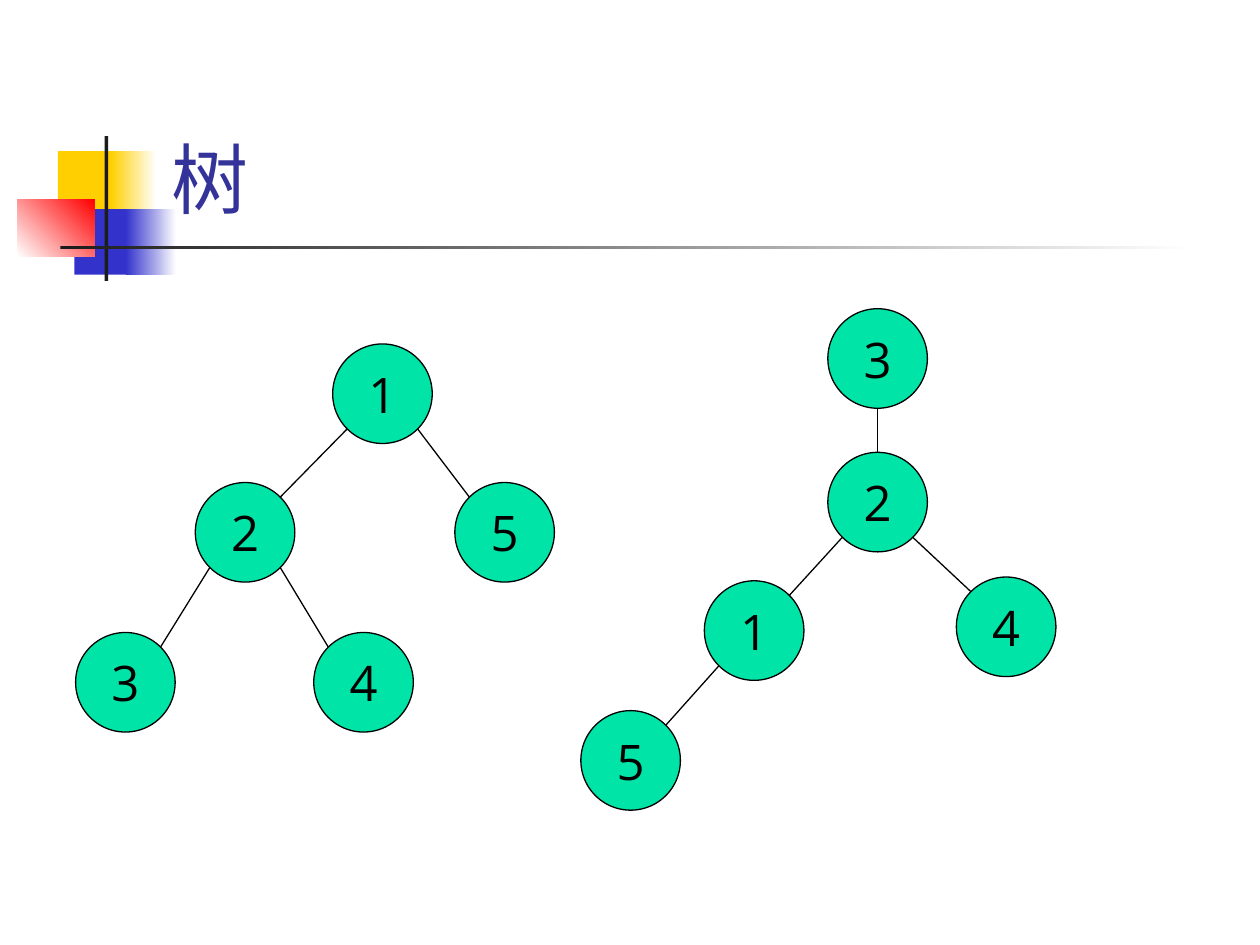
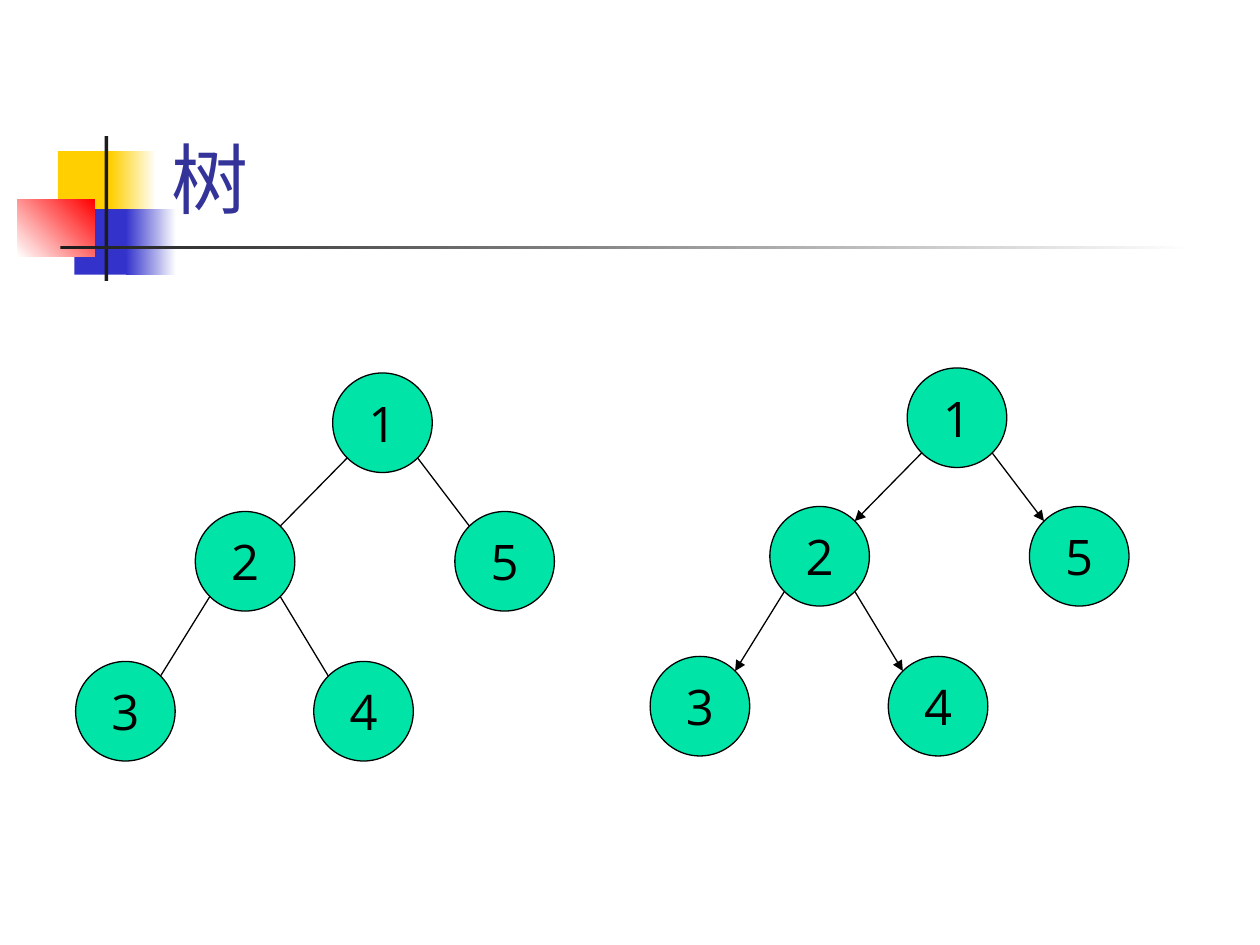
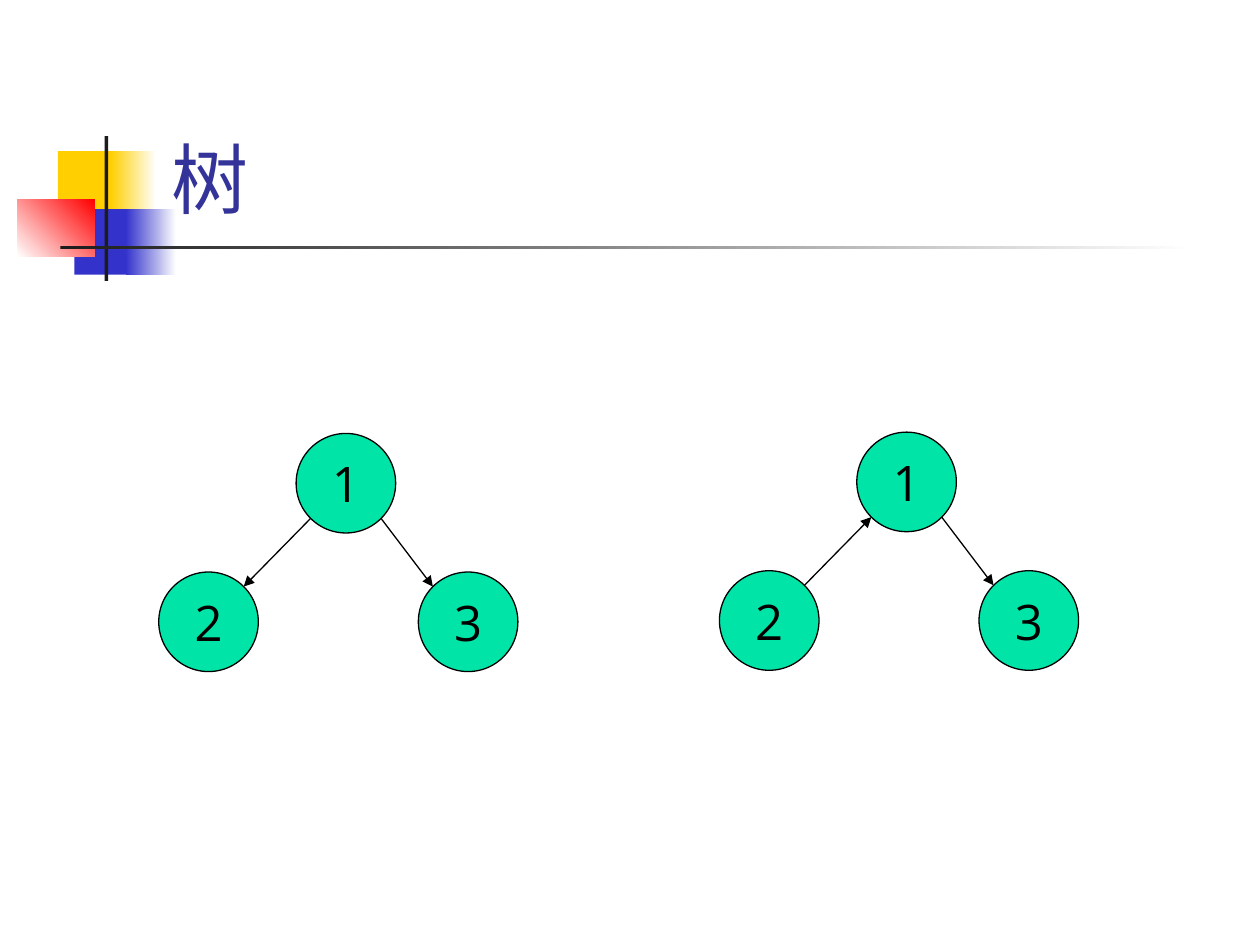
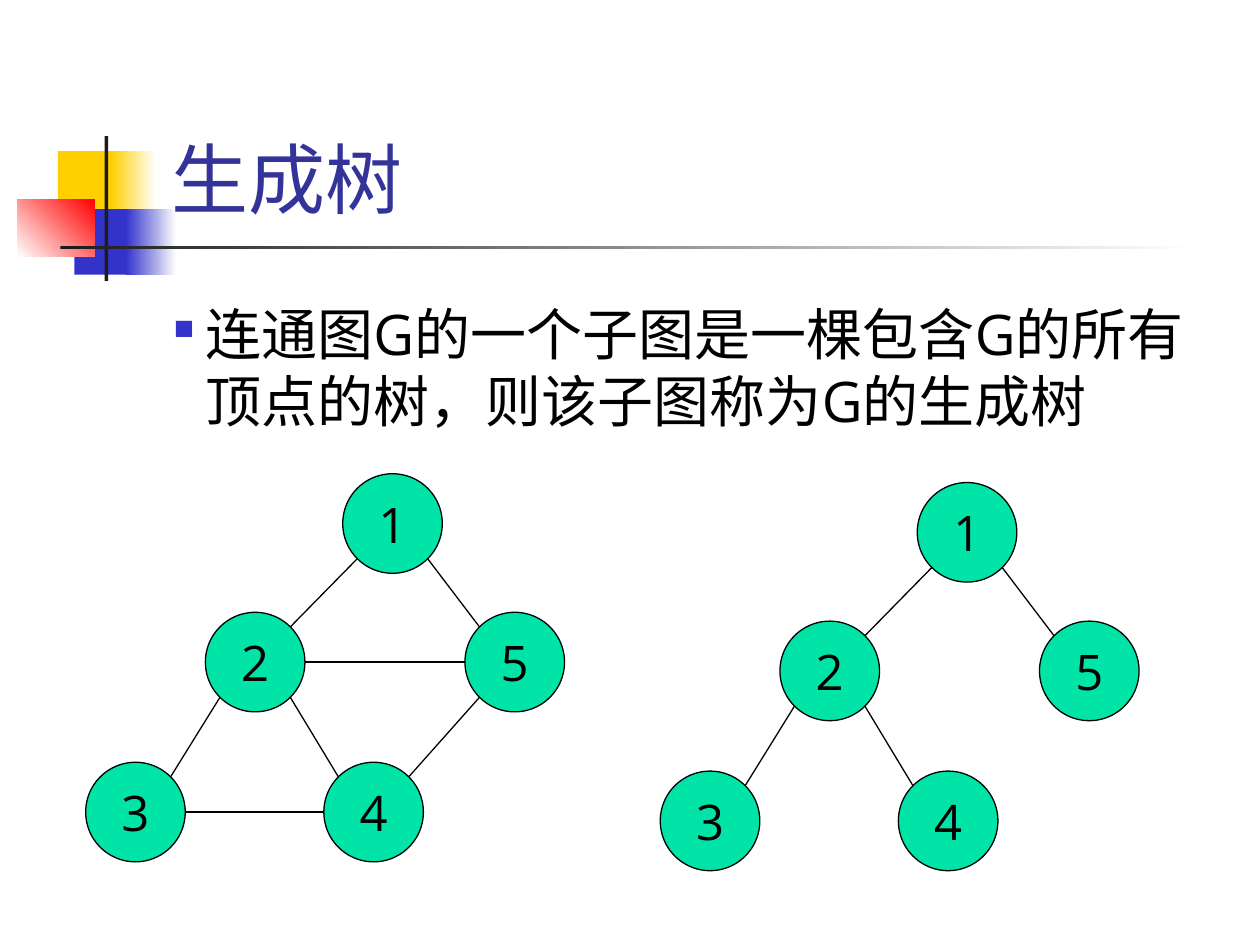
import math
from dataclasses import dataclass

import pptx
import pptx.dml.color
import pptx.enum.shapes
import pptx.enum.text
import pptx.oxml
import pptx.oxml.ns
import pptx.util
from pptx.util import Inches, Pt

# Shared style
FONT = "Open Sans"
BLACK, WHITE, INK = "000000", "FFFFFF", "1C1C1C"
YELLOW, BLUE, RED = "FFCF01", "3333CC", "FF0000"
TITLE_COLOR, NODE_COLOR = "333399", "00E4A8"
NODE_SIZE = 0.79
LINE_WIDTH = 0.75


@dataclass(frozen=True)
class Block:
    """A rectangle of the title ornament; a second colour makes a gradient."""
    left: float
    top: float
    width: float
    height: float
    color: str
    end_color: str = ""
    angle: float = 0


@dataclass(frozen=True)
class Graph:
    """Nodes map a label to its offset from the top left of the graph's root."""
    left: float
    top: float
    nodes: dict[str, tuple[float, float]]
    edges: tuple[str, ...]
    directed: bool = False


@dataclass(frozen=True)
class Page:
    title: str
    graphs: tuple[Graph, ...]
    body: str = ""


ORNAMENT = (
    Block(0.46, 1.2, 0.48, 0.52, YELLOW),
    Block(0.88, 1.2, 0.36, 0.52, YELLOW, WHITE),
    Block(0.59, 1.66, 0.46, 0.52, BLUE),
    Block(1, 1.66, 0.4, 0.52, BLUE, WHITE),
    Block(0.14, 1.58, 0.61, 0.46, WHITE, RED, 45),
    Block(0.83, 1.08, 0.03, 1.15, INK),
    Block(0.48, 1.95, 9, 0.03, INK, WHITE),
)

# Node layouts; an edge names its start and end labels
TREE = {"1": (0, 0), "2": (-1.09, 1.1), "5": (0.97, 1.1),
        "4": (-0.15, 2.29), "3": (-2.04, 2.29)}
TREE_EDGES = ("12", "15", "23", "24")
REROOTED = {"1": (-0.98, 2.16), "2": (0, 1.14), "5": (-1.96, 3.19),
            "4": (1.02, 2.13), "3": (0, 0)}
TRIPLE = {"1": (0, 0), "2": (-1.09, 1.1), "3": (0.97, 1.1)}

PAGES = (
    Page("树", (
        Graph(2.64, 2.73, TREE, TREE_EDGES),
        Graph(6.57, 2.45, REROOTED, ("12", "15", "23", "24")),
    )),
    Page("树", (
        Graph(2.64, 2.96, TREE, TREE_EDGES),
        Graph(7.2, 2.92, TREE, TREE_EDGES, directed=True),
    )),
    Page("树", (
        Graph(2.35, 3.44, TRIPLE, ("12", "13"), directed=True),
        Graph(6.8, 3.43, TRIPLE, ("21", "13"), directed=True),
    )),
    Page("生成树", (
        Graph(2.72, 3.76, TREE, TREE_EDGES + ("34", "45", "25")),
        Graph(7.28, 3.83, TREE, TREE_EDGES),
    ), "连通图G的一个子图是一棵包含G的所有顶点的树，则该子图称为G的生成树"),
)


def rgb(color: str) -> pptx.dml.color.RGBColor:
    return pptx.dml.color.RGBColor.from_string(color)


def add_xml(parent, tag: str, **attributes: str):
    element = pptx.oxml.parse_xml(f"<a:{tag} {pptx.oxml.ns.nsdecls('a')}/>")
    for name, value in attributes.items():
        element.set(name, value)
    parent.append(element)
    return element


def style_paragraph(paragraph, size: float, color: str) -> None:
    paragraph.font.name = FONT
    paragraph.font.size = Pt(size)
    paragraph.font.color.rgb = rgb(color)


def add_block(slide, block: Block) -> None:
    shape = slide.shapes.add_shape(
        pptx.enum.shapes.MSO_SHAPE.RECTANGLE, Inches(block.left), Inches(block.top),
        Inches(block.width), Inches(block.height))
    shape.shadow.inherit = False
    shape.line.fill.background()
    if block.end_color:
        shape.fill.gradient()
        shape.fill.gradient_angle = block.angle
        stops = shape.fill.gradient_stops
        for stop, position, color in zip(stops, (0, 1), (block.color, block.end_color)):
            stop.position = position
            stop.color.rgb = rgb(color)
    else:
        shape.fill.solid()
        shape.fill.fore_color.rgb = rgb(block.color)


def add_text(slide, left: float, top: float, width: float, height: float, text: str):
    text_box = slide.shapes.add_textbox(
        Inches(left), Inches(top), Inches(width), Inches(height))
    text_box.text_frame.word_wrap = True
    text_box.text_frame.text = text
    return text_box.text_frame


def add_title(slide, text: str) -> None:
    frame = add_text(slide, 1.26, 0.23, 8.52, 1.6, text)
    frame.vertical_anchor = pptx.enum.text.MSO_ANCHOR.BOTTOM
    style_paragraph(frame.paragraphs[0], 44, TITLE_COLOR)


def add_body(slide, text: str) -> None:
    paragraph = add_text(slide, 0.28, 2.33, 9.37, 4.5, text).paragraphs[0]
    paragraph.level = 2
    properties = paragraph._p.get_or_add_pPr()
    properties.set("marL", str(Inches(1.25)))
    properties.set("indent", str(Inches(-0.25)))
    add_xml(add_xml(properties, "buClr"), "srgbClr", val=BLUE)
    add_xml(properties, "buSzPct", val="50000")
    add_xml(properties, "buChar", char="■")
    paragraph.space_before = Pt(6.4)
    style_paragraph(paragraph, 32, BLACK)


def add_node(group, left: float, top: float, label: str) -> None:
    shape = group.shapes.add_shape(
        pptx.enum.shapes.MSO_SHAPE.OVAL, Inches(left), Inches(top),
        Inches(NODE_SIZE), Inches(NODE_SIZE))
    shape.shadow.inherit = False
    shape.fill.solid()
    shape.fill.fore_color.rgb = rgb(NODE_COLOR)
    shape.line.color.rgb = rgb(BLACK)
    shape.line.width = Pt(LINE_WIDTH)
    frame = shape.text_frame
    frame.word_wrap = False
    frame.vertical_anchor = pptx.enum.text.MSO_ANCHOR.MIDDLE
    frame.text = label
    frame.paragraphs[0].alignment = pptx.enum.text.PP_ALIGN.CENTER
    style_paragraph(frame.paragraphs[0], 28, BLACK)


def add_edge(group, start: tuple[float, float], end: tuple[float, float],
             directed: bool) -> None:
    """Join two node centres, leaving each circle at its nearest eighth turn."""
    eighth = math.pi / 4
    angle = round(math.atan2(end[1] - start[1], end[0] - start[0]) / eighth) * eighth
    reach_x = NODE_SIZE / 2 * math.cos(angle)
    reach_y = NODE_SIZE / 2 * math.sin(angle)
    connector = group.shapes.add_connector(
        pptx.enum.shapes.MSO_CONNECTOR.STRAIGHT,
        Inches(start[0] + reach_x), Inches(start[1] + reach_y),
        Inches(end[0] - reach_x), Inches(end[1] - reach_y))
    connector.line.color.rgb = rgb(BLACK)
    connector.line.width = Pt(LINE_WIDTH)
    if directed:
        add_xml(connector.line._get_or_add_ln(), "tailEnd", type="triangle")
    add_xml(connector._element.spPr, "effectLst")


def add_graph(slide, graph: Graph) -> None:
    group = slide.shapes.add_group_shape()
    centers = {}
    for label, (offset_x, offset_y) in graph.nodes.items():
        left, top = graph.left + offset_x, graph.top + offset_y
        add_node(group, left, top, label)
        centers[label] = (left + NODE_SIZE / 2, top + NODE_SIZE / 2)
    for start, end in graph.edges:
        add_edge(group, centers[start], centers[end], graph.directed)


# Build the slides
presentation = pptx.Presentation()
presentation.slide_width = Inches(10)
presentation.slide_height = Inches(7.5)
blank_layout = presentation.slide_layouts[6]

for page in PAGES:
    slide = presentation.slides.add_slide(blank_layout)
    for block in ORNAMENT:
        add_block(slide, block)
    add_title(slide, page.title)
    if page.body:
        add_body(slide, page.body)
    for graph in page.graphs:
        add_graph(slide, graph)

presentation.save("out.pptx")
